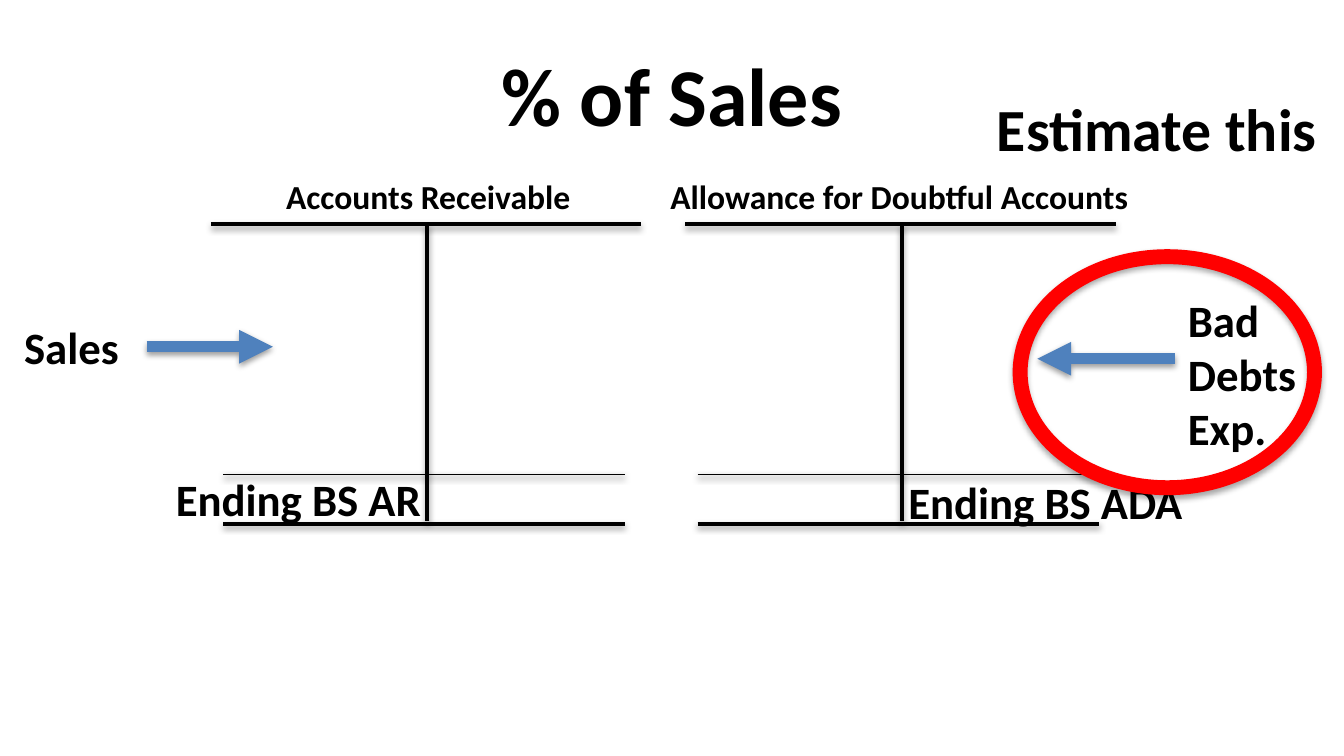
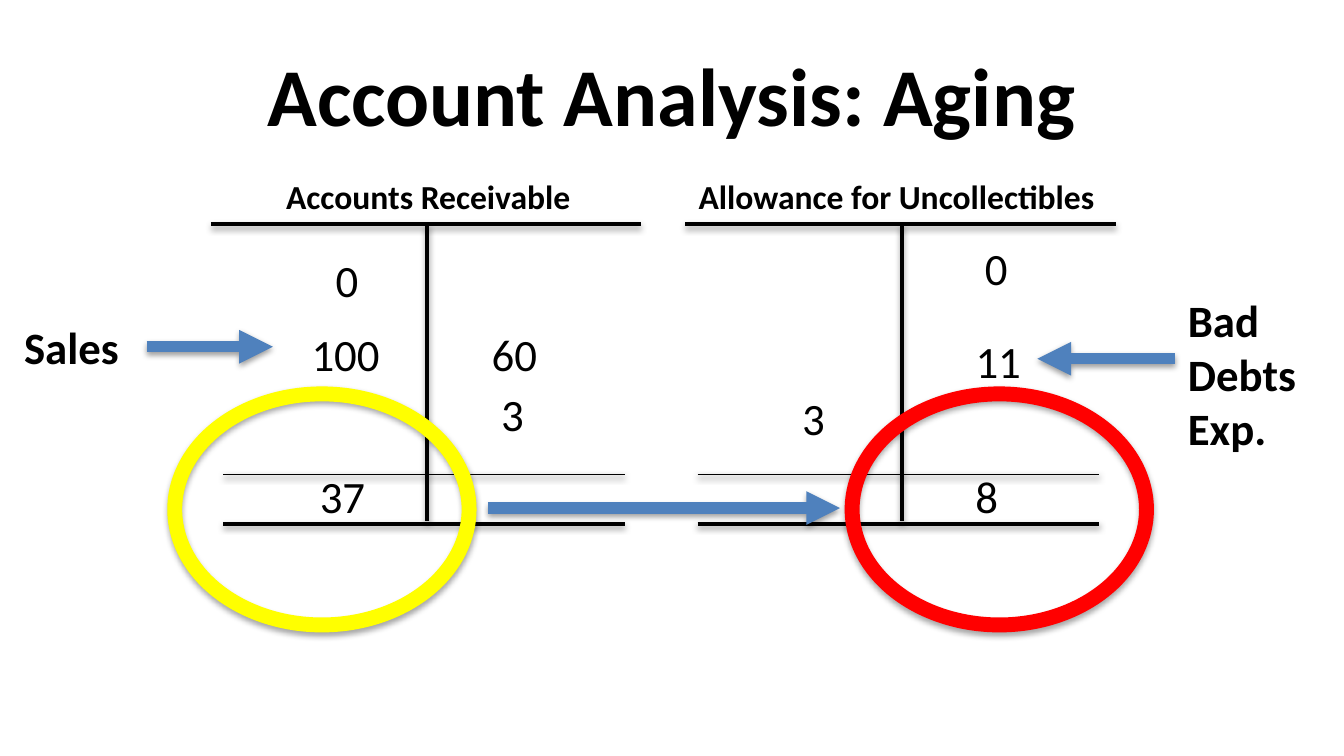
from dataclasses import dataclass

import pptx
import pptx.dml.color
import pptx.enum.shapes
import pptx.enum.text
import pptx.oxml
import pptx.oxml.ns
import pptx.shapes.base
import pptx.shapes.shapetree
import pptx.slide
import pptx.util

Pt = pptx.util.Pt
RGBColor = pptx.dml.color.RGBColor

BLACK = RGBColor(0x00, 0x00, 0x00)
BLUE = RGBColor(0x4F, 0x81, 0xBD)
RED = RGBColor(0xFF, 0x00, 0x00)
YELLOW = RGBColor(0xFF, 0xFF, 0x00)
FONT = "Calibri"

# T-account geometry, measured from the left end of its header line
HEADER_Y, SUBTOTAL_Y, BALANCE_Y, STEM_END_Y = 120.2, 254.2, 280.8, 279.4
HEADER_WIDTH, STEM_X = 230.4, 115.9
FOOT_START, FOOT_END = 6.5, 221.8
RECEIVABLE_X, ALLOWANCE_X = 113, 367.2
CIRCLE_WIDTH, CIRCLE_HEIGHT = 157.7, 123.8


@dataclass(frozen=True)
class Label:
    text: str
    left: float
    top: float
    width: float
    height: float = 36
    size: float = 24
    bold: bool = True


@dataclass(frozen=True)
class Line:
    x1: float
    y1: float
    x2: float
    y2: float
    weight: float = 2
    color: RGBColor = BLACK
    arrow: bool = False


@dataclass(frozen=True)
class Circle:
    left: float
    top: float
    color: RGBColor


@dataclass(frozen=True)
class TAccount:
    left: float
    caption: str
    caption_left: float
    caption_width: float


def add_shadow(shape: pptx.shapes.base.BaseShape, distance: float, opacity: int) -> None:
    """Give the shape a soft shadow straight below it."""
    shape._element.spPr.append(pptx.oxml.parse_xml(
        f'<a:effectLst {pptx.oxml.ns.nsdecls("a")}>'
        f'<a:outerShdw blurRad="{Pt(3.15)}" dist="{Pt(distance)}" dir="5400000" '
        f'rotWithShape="0"><a:srgbClr val="{BLACK}"><a:alpha val="{opacity * 1000}"/>'
        '</a:srgbClr></a:outerShdw></a:effectLst>'))


def add_line(shapes: pptx.shapes.shapetree._BaseGroupShapes, line: Line) -> None:
    connector = shapes.add_connector(
        pptx.enum.shapes.MSO_CONNECTOR.STRAIGHT,
        Pt(line.x1), Pt(line.y1), Pt(line.x2), Pt(line.y2))
    connector.line.color.rgb = line.color
    connector.line.width = Pt(line.weight)
    if line.arrow:
        outline = connector._element.spPr.find(pptx.oxml.ns.qn("a:ln"))
        outline.append(pptx.oxml.parse_xml(
            f'<a:tailEnd {pptx.oxml.ns.nsdecls("a")} type="triangle"/>'))
    add_shadow(connector, 1.6, 38)


def add_label(shapes: pptx.shapes.shapetree._BaseGroupShapes, label: Label,
              is_title: bool = False) -> None:
    box = shapes.add_textbox(
        Pt(label.left), Pt(label.top), Pt(label.width), Pt(label.height))
    frame = box.text_frame
    frame.word_wrap = is_title
    if is_title:
        frame.vertical_anchor = pptx.enum.text.MSO_ANCHOR.MIDDLE
    else:
        frame.auto_size = pptx.enum.text.MSO_AUTO_SIZE.SHAPE_TO_FIT_TEXT
    for index, text in enumerate(label.text.split("\n")):
        paragraph = frame.add_paragraph() if index else frame.paragraphs[0]
        if is_title:
            paragraph.alignment = pptx.enum.text.PP_ALIGN.CENTER
        run = paragraph.add_run()
        run.text = text
        run.font.name = FONT
        run.font.size = Pt(label.size)
        run.font.bold = label.bold
        run.font.color.rgb = BLACK


def add_circle(slide: pptx.slide.Slide, circle: Circle) -> None:
    ring = slide.shapes.add_shape(
        pptx.enum.shapes.MSO_SHAPE.OVAL, Pt(circle.left), Pt(circle.top),
        Pt(CIRCLE_WIDTH), Pt(CIRCLE_HEIGHT))
    ring.fill.background()
    ring.line.color.rgb = circle.color
    ring.line.width = Pt(8)
    add_shadow(ring, 1.8, 35)


def add_t_account(slide: pptx.slide.Slide, account: TAccount) -> None:
    shapes = slide.shapes.add_group_shape().shapes
    left, stem = account.left, account.left + STEM_X
    foot_start, foot_end = left + FOOT_START, left + FOOT_END
    for line in (
        Line(left, HEADER_Y, left + HEADER_WIDTH, HEADER_Y),
        Line(stem, HEADER_Y, stem, STEM_END_Y),
        Line(foot_start, SUBTOTAL_Y, foot_end, SUBTOTAL_Y, weight=1),
        Line(foot_start, BALANCE_Y, foot_end, BALANCE_Y),
    ):
        add_line(shapes, line)
    add_label(shapes, Label(account.caption, account.caption_left, 90.7,
                            account.caption_width, 28.8, size=18))


def add_account_slide(deck: pptx.presentation.Presentation, title: str,
                      allowance: TAccount, labels: list[Label]) -> pptx.slide.Slide:
    """Draw the two T-accounts with their entries, then the given labels."""
    slide = deck.slides.add_slide(deck.slide_layouts[6])
    add_t_account(slide, TAccount(RECEIVABLE_X, "Accounts Receivable", 146.2, 167.8))
    add_t_account(slide, allowance)
    add_line(slide.shapes, Line(78.5, 185.8, 146.2, 185.8, 6, BLUE, arrow=True))
    add_line(slide.shapes, Line(629.3, 192.2, 555.8, 192.2, 6, BLUE, arrow=True))
    add_label(slide.shapes, Label(title, 36, 16.6, 648, 67.7, size=44), is_title=True)
    entries = [
        Label("Sales", 5.8, 167.8, 66.2),
        Label("Bad\nDebts\nExp.", 629.3, 153.4, 74.2, 94.3),
    ]
    for label in entries + labels:
        add_label(slide.shapes, label)
    return slide


def add_amount(text: str, left: float, top: float) -> Label:
    """Describe a ledger amount, as wide as its digits need."""
    return Label(text, left, top, 14.4 + 12.2 * len(text), bold=False)


def main() -> None:
    deck = pptx.Presentation()
    deck.slide_width, deck.slide_height = Pt(720), Pt(405)

    # Percentage-of-sales method
    sales = add_account_slide(
        deck, "% of Sales",
        TAccount(ALLOWANCE_X, "Allowance for Doubtful Accounts", 352.1, 262.1),
        [
            Label("Ending BS AR", 87.1, 249.1, 146.9),
            Label("Ending BS ADA", 479.5, 250.6, 162.7),
            Label("Estimate this", 527, 45.4, 187.9, 46.1, size=32),
        ])
    add_circle(sales, Circle(546.5, 137.5, RED))

    # Aging method
    aging = add_account_slide(
        deck, "Account Analysis: Aging",
        TAccount(ALLOWANCE_X, "Allowance for Uncollectibles", 367.2, 228.2),
        [
            add_amount("0", 172.8, 131.8),
            add_amount("100", 159.8, 171.4),
            add_amount("11", 515.5, 175),
            add_amount("3", 261.4, 203.8),
            add_amount("3", 422.6, 205.9),
            add_amount("60", 256.3, 171.4),
            add_amount("37", 164.2, 247.7),
            add_amount("8", 515.5, 247.7),
            add_amount("0", 520.6, 125.3),
        ])
    add_circle(aging, Circle(93.6, 211, YELLOW))
    add_circle(aging, Circle(456.5, 211, RED))
    add_line(aging.shapes, Line(261.4, 272.2, 450, 272.2, 6, BLUE, arrow=True))

    deck.save("out.pptx")


if __name__ == "__main__":
    main()
